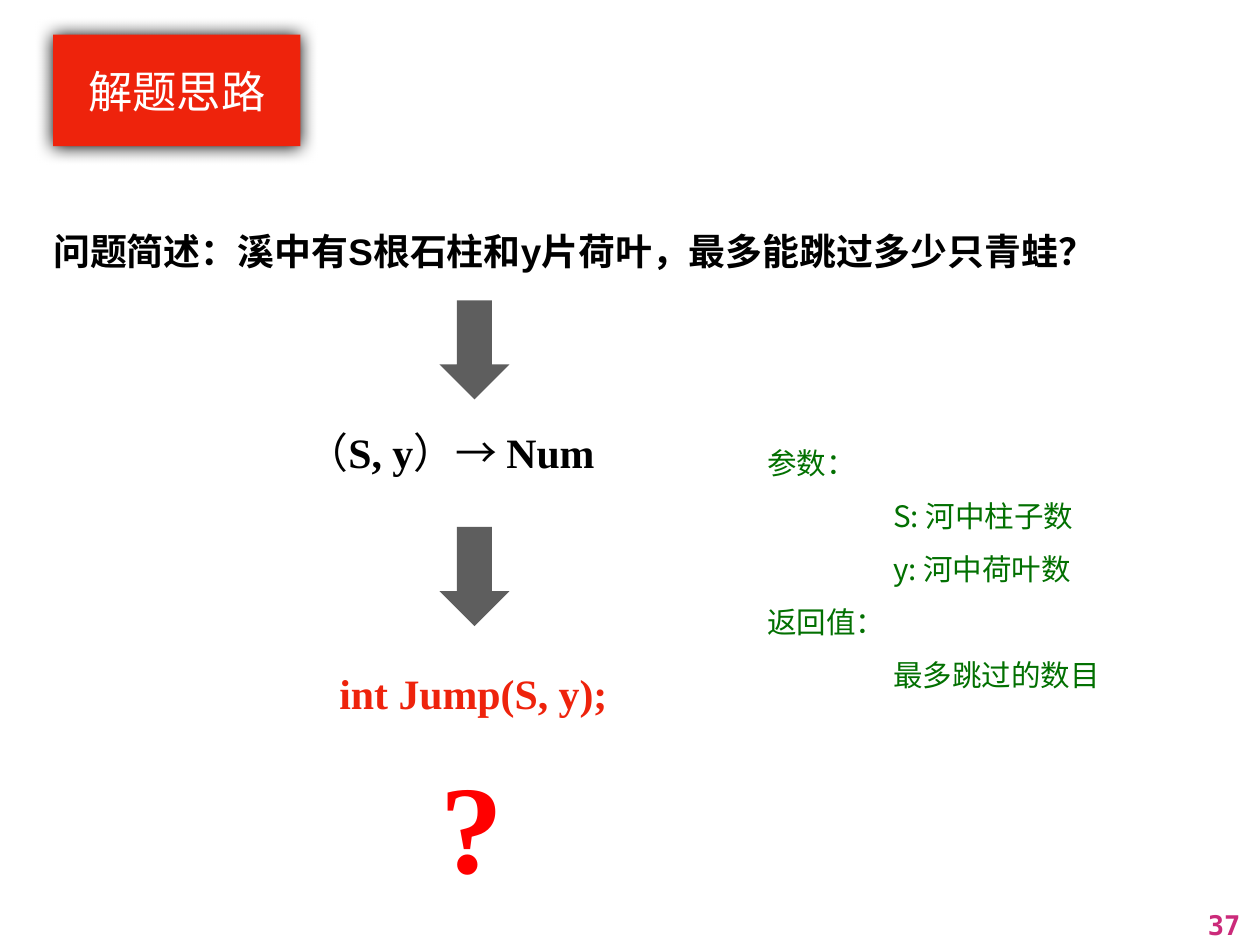
from lxml import etree
from pptx import Presentation
from pptx.dml.color import RGBColor
from pptx.enum.dml import MSO_LINE
from pptx.enum.shapes import MSO_SHAPE
from pptx.enum.text import MSO_ANCHOR, MSO_AUTO_SIZE, PP_ALIGN
from pptx.oxml import parse_xml
from pptx.oxml.ns import nsdecls, qn
from pptx.util import Pt

PX = 9144  # 100 px to the inch
DOWN_ARROW, RECTANGLE = MSO_SHAPE.DOWN_ARROW, MSO_SHAPE.RECTANGLE
SHORT_DASH = MSO_LINE.SQUARE_DOT
TOP, MIDDLE = MSO_ANCHOR.TOP, MSO_ANCHOR.MIDDLE
LEFT, CENTER, RIGHT = PP_ALIGN.LEFT, PP_ALIGN.CENTER, PP_ALIGN.RIGHT
NO_AUTOFIT = MSO_AUTO_SIZE.NONE
HAN, SERIF, SANS, MONO = "Noto Sans CJK SC", "Times New Roman", "Arial", "DejaVu Sans Mono"
RED, BLACK, WHITE, GREEN = "EE230C", "000000", "FFFFFF", "027001"


def color(value):
    return RGBColor.from_string(value)


def write(box, paragraphs, size, ink, align=LEFT, anchor=TOP, spacing=1.0, inset=7):
    """Fill a box with paragraphs, each an indent and a list of (text, font, bold)."""
    frame = box.text_frame
    frame.word_wrap = True
    frame.auto_size = NO_AUTOFIT
    frame.vertical_anchor = anchor
    frame.margin_left = frame.margin_right = inset * PX
    frame.margin_top = frame.margin_bottom = inset * PX
    for index, (indent, spans) in enumerate(paragraphs):
        para = frame.add_paragraph() if index else frame.paragraphs[0]
        para.alignment = align
        para.line_spacing = spacing
        if indent:
            para._p.get_or_add_pPr().set("marL", str(indent * PX))
        for text, font, bold in spans:
            span = para.add_run()
            span.text = text
            span.font.name = font
            span.font.size = Pt(size)
            span.font.bold = bold
            span.font.color.rgb = color(ink)
            east_asian = etree.SubElement(span._r.get_or_add_rPr(), qn("a:ea"))
            east_asian.set("typeface", HAN)


deck = Presentation()
deck.slide_width, deck.slide_height = 1422 * PX, 1067 * PX
page = deck.slides.add_slide(deck.slide_layouts[5])

# Title
title = page.shapes.title
title.left, title.top, title.width, title.height = 60 * PX, 39 * PX, 279 * PX, 126 * PX
title.fill.solid()
title.fill.fore_color.rgb = color(RED)
title._element.spPr.append(parse_xml(
    f'<a:effectLst {nsdecls("a")}>'
    f'<a:outerShdw blurRad="{Pt(15)}" dist="{Pt(0.7)}" dir="5400000" rotWithShape="0">'
    f'<a:srgbClr val="{BLACK}"/></a:outerShdw></a:effectLst>'))
write(title, [(0, [("解题思路", SANS, False)])], 36, WHITE, CENTER, MIDDLE)

# Steps from the problem to the function
for arrow_top in (339, 595):
    arrow = page.shapes.add_shape(DOWN_ARROW, 496 * PX, arrow_top * PX, 79 * PX, 112 * PX)
    arrow.shadow.inherit = False
    arrow.fill.solid()
    arrow.fill.fore_color.rgb = color("5E5E5E")
    arrow.line.fill.background()

problem = page.shapes.add_textbox(54 * PX, 236 * PX, 1170 * PX, 74 * PX)
write(problem, [(0, [("问题简述：溪中有S根石柱和y片荷叶，最多能跳过多少只青蛙？", SANS, True)])],
      30, BLACK, anchor=MIDDLE, spacing=1.4, inset=6)

mapping = page.shapes.add_textbox(339 * PX, 475 * PX, 379 * PX, 72 * PX)
write(mapping, [(0, [("（", HAN, False), ("S, y", SERIF, True), ("）", HAN, False),
                     ("→ ", SANS, False), ("Num", SERIF, True)])], 34, BLACK)

signature = page.shapes.add_textbox(376 * PX, 747 * PX, 330 * PX, 65 * PX)
write(signature, [(0, [("int Jump(S, y);", SERIF, True)])], 34, RED)

question = page.shapes.add_textbox(490 * PX, 838 * PX, 86 * PX, 171 * PX)
write(question, [(0, [("?", SERIF, True)])], 102, "FF0000")

# Parameters and return value
details = page.shapes.add_shape(RECTANGLE, 859 * PX, 475 * PX, 394 * PX, 310 * PX)
details.shadow.inherit = False
details.fill.background()
details.line.color.rgb = color(WHITE)
details.line.width = Pt(1)
details.line.dash_style = SHORT_DASH
detail_lines = [(0, "参数："), (142, "S: 河中柱子数"), (142, "y: 河中荷叶数"),
                (0, "返回值："), (142, "最多跳过的数目")]
write(details, [(indent, [(text, HAN, False)]) for indent, text in detail_lines],
      24, GREEN, spacing=1.5)

page_number = page.shapes.add_textbox(1345 * PX, 1019 * PX, 62 * PX, 48 * PX)
write(page_number, [(0, [("37", MONO, True)])], 22, "CB2A7A", RIGHT)

deck.save("out.pptx")
